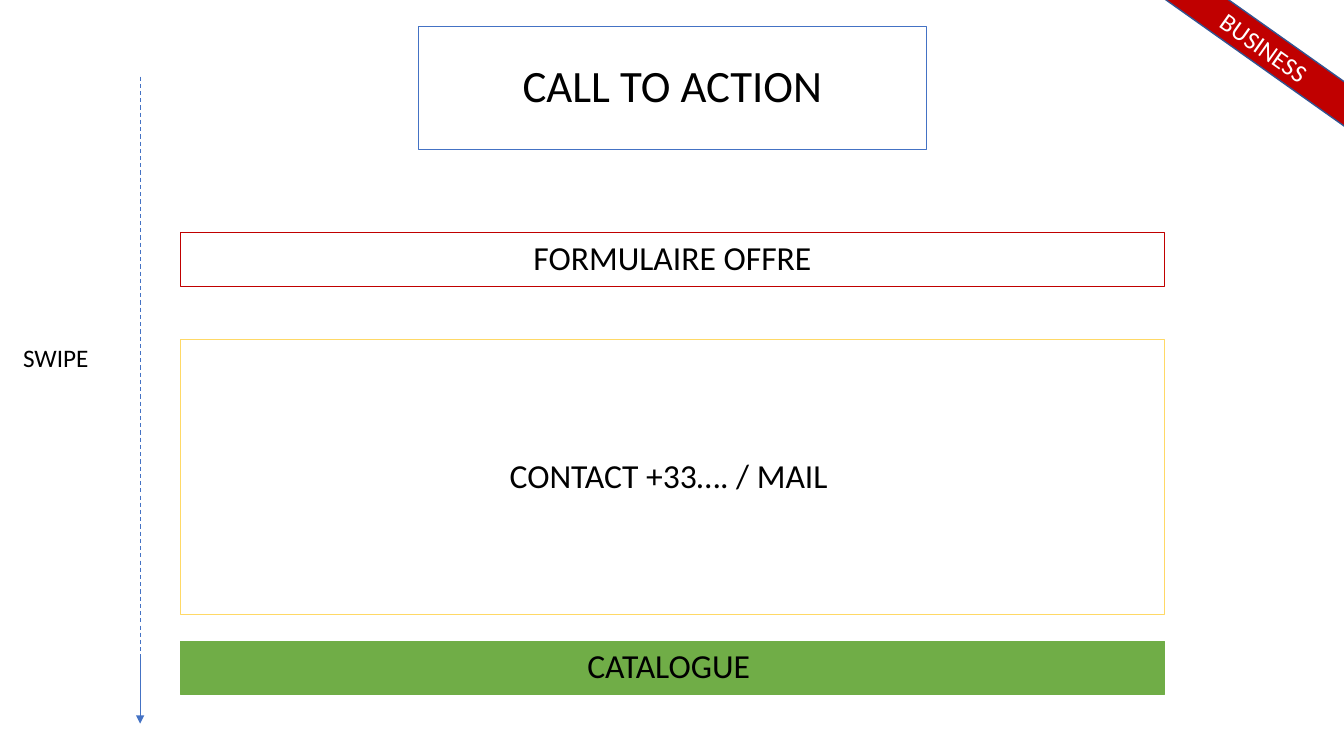
from dataclasses import dataclass

from lxml import etree
from pptx import Presentation
from pptx.dml.color import RGBColor
from pptx.enum.dml import MSO_LINE
from pptx.enum.shapes import MSO_CONNECTOR, MSO_SHAPE
from pptx.enum.text import MSO_ANCHOR, MSO_AUTO_SIZE, PP_ALIGN
from pptx.oxml.ns import qn
from pptx.util import Inches, Pt

RECT = MSO_SHAPE.RECTANGLE
STRAIGHT = MSO_CONNECTOR.STRAIGHT
DASH = MSO_LINE.DASH
MIDDLE, TOP = MSO_ANCHOR.MIDDLE, MSO_ANCHOR.TOP
CENTER, LEFT = PP_ALIGN.CENTER, PP_ALIGN.LEFT
NO_AUTOFIT = MSO_AUTO_SIZE.NONE


@dataclass(frozen=True)
class Theme:
    font: str = "Calibri"
    black: RGBColor = RGBColor(0x00, 0x00, 0x00)
    white: RGBColor = RGBColor(0xFF, 0xFF, 0xFF)
    blue: RGBColor = RGBColor(0x44, 0x72, 0xC4)
    navy: RGBColor = RGBColor(0x32, 0x54, 0x91)
    red: RGBColor = RGBColor(0xC0, 0x00, 0x00)
    yellow: RGBColor = RGBColor(0xFF, 0xD9, 0x66)
    green: RGBColor = RGBColor(0x70, 0xAD, 0x47)
    title_size: Pt = Pt(32)
    block_size: Pt = Pt(24)
    label_size: Pt = Pt(18)


theme = Theme()


def write(sp, text, size, color=theme.black, align=CENTER, anchor=MIDDLE, spacing=0.9):
    tf = sp.text_frame
    tf.word_wrap = True
    tf.auto_size = NO_AUTOFIT
    tf.vertical_anchor = anchor
    p = tf.paragraphs[0]
    p.alignment = align
    p.line_spacing = spacing
    r = p.add_run()
    r.text = text
    r.font.name = theme.font
    r.font.size = size
    r.font.color.rgb = color


def outline(sp, color, width=0.75, fill=None):
    sp.line.color.rgb = color
    sp.line.width = Pt(width)
    if fill is None:
        sp.fill.background()
    else:
        sp.fill.solid()
        sp.fill.fore_color.rgb = fill


prs = Presentation()
prs.slide_width = Inches(13.33)
prs.slide_height = Inches(7.5)
s = prs.slides.add_slide(prs.slide_layouts[5])

# Title
title = s.shapes.title
title.left, title.top = Inches(4.15), Inches(0.26)
title.width, title.height = Inches(5.04), Inches(1.22)
outline(title, theme.blue)
write(title, "CALL TO ACTION", theme.title_size)

# Full-width blocks
blocks = [
    ("CONTACT +33…. / MAIL ", 3.37, 2.73, theme.yellow, None),
    ("FORMULAIRE OFFRE", 2.31, 0.53, theme.red, None),
    ("CATALOGUE ", 6.36, 0.53, theme.green, theme.green),
]
for text, top, height, color, fill in blocks:
    block = s.shapes.add_shape(RECT, Inches(1.79), Inches(top), Inches(9.76), Inches(height))
    block.shadow.inherit = False
    outline(block, color, fill=fill)
    write(block, text, theme.block_size)

# Corner ribbon
ribbon = s.shapes.add_shape(RECT, Inches(11.27), Inches(0.29), Inches(2.54), Inches(0.36))
ribbon.rotation = 35.3
ribbon.shadow.inherit = False
outline(ribbon, theme.navy, width=1, fill=theme.red)
write(ribbon, "BUSINESS", theme.label_size, theme.white, spacing=1.0)

# Swipe label and arrow
label = s.shapes.add_textbox(Inches(0.13), Inches(3.35), Inches(0.92), Inches(0.4))
write(label, "SWIPE", theme.label_size, align=LEFT, anchor=TOP, spacing=1.0)

axis_x = Inches(1.39)
for start, end, width, is_arrow in [(0.76, 6.8, 0.75, False), (6.53, 7.18, 0.5, True)]:
    stem = s.shapes.add_connector(STRAIGHT, axis_x, Inches(start), axis_x, Inches(end))
    stem.line.color.rgb = theme.blue
    stem.line.width = Pt(width)
    if is_arrow:
        etree.SubElement(stem.line._get_or_add_ln(), qn("a:tailEnd"), type="triangle")
    else:
        stem.line.dash_style = DASH
    etree.SubElement(stem._element.spPr, qn("a:effectLst"))

prs.save("out.pptx")
